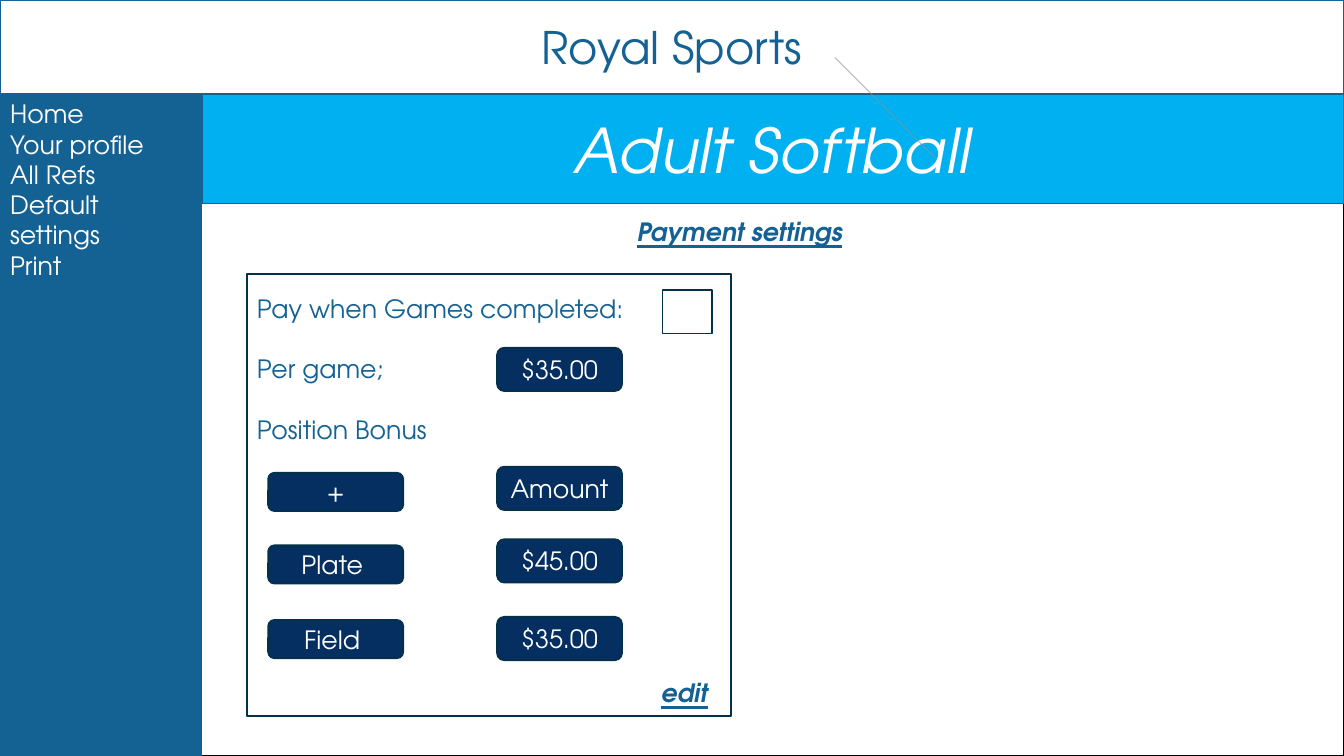
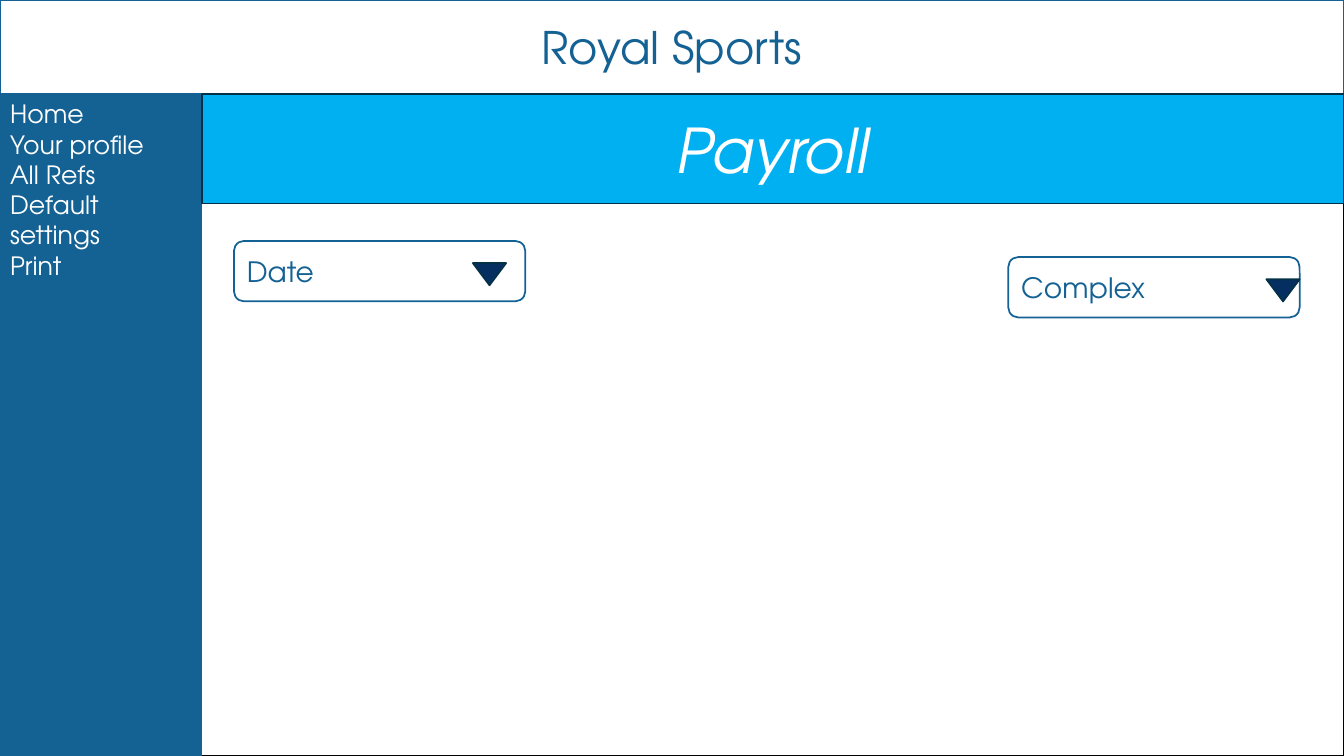
from lxml import etree
from pptx import Presentation
from pptx.dml.color import RGBColor
from pptx.enum.shapes import MSO_CONNECTOR, MSO_SHAPE
from pptx.enum.text import MSO_ANCHOR, MSO_AUTO_SIZE, PP_ALIGN
from pptx.oxml.ns import qn
from pptx.util import Pt

RECT, ROUND = MSO_SHAPE.RECTANGLE, MSO_SHAPE.ROUNDED_RECTANGLE
TRIANGLE = MSO_SHAPE.ISOSCELES_TRIANGLE
STRAIGHT = MSO_CONNECTOR.STRAIGHT
LEFT, CENTER = PP_ALIGN.LEFT, PP_ALIGN.CENTER
TOP, MIDDLE = MSO_ANCHOR.TOP, MSO_ANCHOR.MIDDLE
NO_FIT = MSO_AUTO_SIZE.NONE

FONT = "TeX Gyre Adventor"
WHITE, BLACK, GREY = "FFFFFF", "000000", "89919C"
BLUE, SKY, NAVY, EDGE = "146194", "00B0F0", "052F61", "043148"

# 100 px to the inch
PX = 9144
W, H = 1333, 750
HEADER_H, SIDE_W, BANNER_H = 93, 200, 109
MENU = ["Home", "Your profile", "All Refs", "Default settings", "Print"]


def rgb(value):
    return RGBColor.from_string(value)


def emu(*lengths):
    return [n * PX for n in lengths]


def paint(shape, fill, line):
    if fill:
        shape.fill.solid()
        shape.fill.fore_color.rgb = rgb(fill)
    else:
        shape.fill.background()
    shape.line.color.rgb = rgb(line)
    shape.line.width = Pt(1.25)


def write(shape, lines, size=18, color=BLUE, align=LEFT, anchor=TOP,
          gap=0, bold=False, italic=False, underline=False):
    tf = shape.text_frame
    tf.word_wrap = True
    tf.auto_size = NO_FIT
    tf.vertical_anchor = anchor
    for i, text in enumerate(lines):
        p = tf.paragraphs[0] if i == 0 else tf.add_paragraph()
        p.text = text
        p.alignment = align
        p.space_before = Pt(gap if i else 0)
        font = p.font
        font.name, font.size, font.color.rgb = FONT, Pt(size), rgb(color)
        font.bold, font.italic, font.underline = bold, italic, underline


def add_box(s, kind, box, fill, line):
    shape = s.shapes.add_shape(kind, *emu(*box))
    shape.shadow.inherit = False
    paint(shape, fill, line)
    return shape


def add_text(s, box, lines, **style):
    write(s.shapes.add_textbox(*emu(*box)), lines, **style)


def place(s, placeholder, box, fill, line):
    """Move a placeholder to a box, in front of what is drawn so far."""
    placeholder.left, placeholder.top, placeholder.width, placeholder.height = emu(*box)
    paint(placeholder, fill, line)
    s.shapes._spTree.append(placeholder._element)


def add_page(prs, title, banner_line):
    """Page frame, side menu, header and title banner."""
    s = prs.slides.add_slide(prs.slide_layouts[1])
    menu = s.placeholders[1]
    body_h = H - HEADER_H
    add_box(s, RECT, (0, HEADER_H, W, body_h), WHITE, BLACK)

    # Side menu
    place(s, menu, (0, HEADER_H, SIDE_W, body_h), BLUE, BLUE)
    write(menu, MENU, color=WHITE)
    for p in menu.text_frame.paragraphs:
        pPr = p._p.get_or_add_pPr()
        pPr.set("marL", "0")
        pPr.set("indent", "0")
        bullet = etree.Element(qn("a:buNone"))
        pPr.insert_element_before(bullet, "a:tabLst", "a:defRPr", "a:extLst")

    # Header and banner
    header = add_box(s, RECT, (0, 0, W, HEADER_H), WHITE, BLUE)
    write(header, ["Royal Sports"], size=32, align=CENTER, anchor=MIDDLE)
    place(s, s.shapes.title, (SIDE_W, HEADER_H, W - SIDE_W, BANNER_H), SKY, banner_line)
    write(s.shapes.title, [title], size=44, color=WHITE, align=CENTER,
          anchor=MIDDLE, italic=True)
    return s


def add_link(s, box, text):
    add_text(s, box, [text], bold=True, italic=True, underline=True)


def add_button(s, box, text):
    button = add_box(s, ROUND, box, NAVY, EDGE)
    write(button, [text], color=WHITE, align=CENTER, anchor=MIDDLE)


def add_slant(s, x, y, size):
    """Thin translucent diagonal."""
    line = s.shapes.add_connector(STRAIGHT, *emu(x, y, x + size, y + size))
    line.line.color.rgb = rgb(GREY)
    line.line.width = Pt(0.75)
    color = line._element.spPr.find(".//" + qn("a:srgbClr"))
    etree.SubElement(color, qn("a:alpha"), val="60000")
    etree.SubElement(line._element.spPr, qn("a:effectLst"))


def add_payment_card(s, x, y, w, h):
    add_box(s, RECT, (x, y, w, h), WHITE, EDGE)
    add_text(s, (x, y + 14, w - 59, 222),
             ["Pay when Games completed:", "Per game;", "Position Bonus"], gap=21.5)
    # Positions on the left, amounts on the right
    for dy, text in [(197, "+"), (269, "Plate "), (343, "Field ")]:
        add_button(s, (x + 21, y + dy, 134, 38), text)
    for dy, text in [(73, "$35.00"), (191, "Amount"), (263, "$45.00"), (340, "$35.00")]:
        add_button(s, (x + 248, y + dy, 124, 43), text)
    # Check box and link
    add_box(s, RECT, (x + 412, y + 16, 49, 43), WHITE, EDGE)
    add_link(s, (x + 401, y + 395, 69, 40), "edit")


def add_dropdown(s, x, y, label, arrow_x):
    field = add_box(s, ROUND, (x, y, 289, 60), None, BLUE)
    write(field, [label], size=20, anchor=MIDDLE)
    arrow = add_box(s, TRIANGLE, (x + arrow_x, y + 22, 33, 22), NAVY, EDGE)
    arrow.rotation = 180


def main():
    prs = Presentation()
    prs.slide_width, prs.slide_height = emu(W, H)

    # Payment settings
    s = add_page(prs, "Adult Softball", BLUE)
    add_link(s, (622, 210, 233, 40), "Payment settings")
    add_slant(s, 828, 57, 100)
    add_payment_card(s, 245, 272, 480, 438)

    # Payroll filters
    s = add_page(prs, "Payroll", EDGE)
    add_dropdown(s, 232, 239, "Date", 237)
    add_dropdown(s, 1000, 255, "Complex", 256)

    prs.save("out.pptx")


if __name__ == "__main__":
    main()
